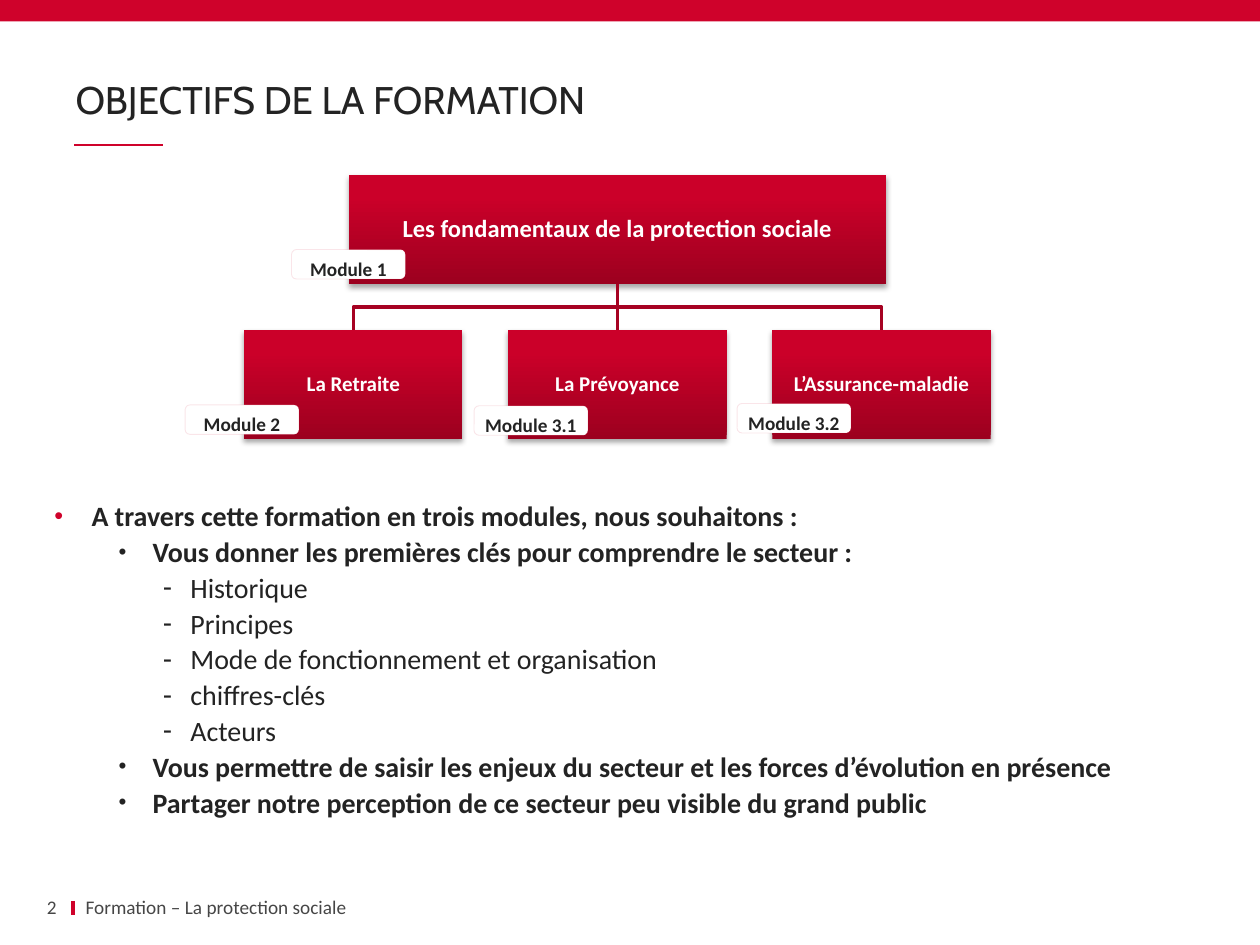
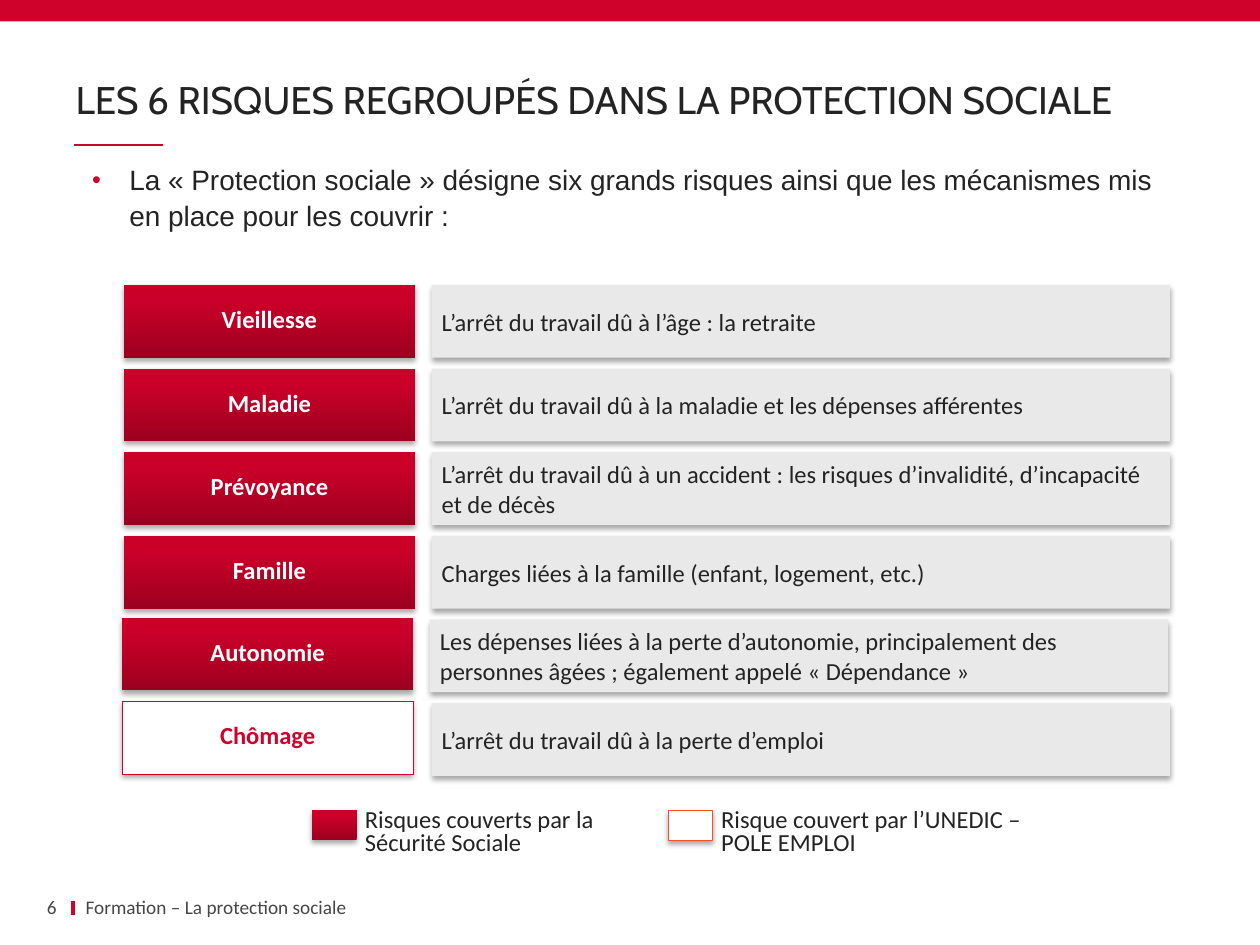
from lxml.etree import SubElement
from pptx import Presentation
from pptx.dml.color import RGBColor
from pptx.enum.shapes import MSO_CONNECTOR, MSO_SHAPE
from pptx.enum.text import MSO_ANCHOR, PP_ALIGN
from pptx.oxml.ns import qn
from pptx.util import Pt

RED = RGBColor(0xCF, 0x02, 0x2B)
BRIGHT_RED = RGBColor(0xCB, 0x00, 0x29)
DEEP_RED = RGBColor(0x9C, 0x00, 0x1F)
BRANCH_RED = RGBColor(0xA6, 0x02, 0x22)
ORANGE = RGBColor(0xF1, 0x54, 0x23)
INK = RGBColor(0x23, 0x23, 0x23)
FOOTER_GREY = RGBColor(0x46, 0x46, 0x46)
PALE_GREY = RGBColor(0xE9, 0xE9, 0xE9)
WHITE = RGBColor(0xFF, 0xFF, 0xFF)

TITLES = {
    "2": "OBJECTIFS DE LA FORMATION",
    "6": "LES 6 RISQUES REGROUPÉS DANS LA PROTECTION SOCIALE",
}


def write(shape, text, size=14, color=INK, font="Calibri", bold=False,
          align=PP_ALIGN.LEFT, anchor=MSO_ANCHOR.MIDDLE, insets=(7.2, 3.6, 7.2, 3.6),
          wrap=True, spacing=None, before=None, bullet=None):
    frame = shape.text_frame
    paragraph = frame.add_paragraph() if frame.text else frame.paragraphs[0]
    frame.word_wrap = wrap
    frame.vertical_anchor = anchor
    frame.margin_left, frame.margin_top, frame.margin_right, frame.margin_bottom = map(Pt, insets)
    if bullet:
        mark, left, hanging, scale, mark_color = bullet
        props = paragraph._p.get_or_add_pPr()
        props.set("marL", str(Pt(left)))
        props.set("indent", str(-Pt(hanging)))
        tint = SubElement(props, qn("a:buClr"))
        SubElement(tint, qn("a:srgbClr"), val=str(mark_color))
        SubElement(props, qn("a:buSzPct"), val=str(scale * 1000))
        SubElement(props, qn("a:buFont"), typeface="Arial")
        SubElement(props, qn("a:buChar"), char=mark)
    paragraph.alignment = align
    if spacing:
        paragraph.line_spacing = spacing
    if before:
        paragraph.space_before = Pt(before)
    run = paragraph.add_run()
    run.text = text
    run.font.name = font
    run.font.size = Pt(size)
    run.font.bold = bold
    run.font.color.rgb = color


def add_block(slide, box, fill=None, line=None, line_width=0.5, shadow=True,
              kind=MSO_SHAPE.RECTANGLE):
    block = slide.shapes.add_shape(kind, *map(Pt, box))
    if fill is None:
        block.fill.gradient()
        block.fill.gradient_angle = 90
        for stop, color, position in zip(block.fill.gradient_stops, (DEEP_RED, BRIGHT_RED), (0, 0.8)):
            stop.color.rgb = color
            stop.position = position
    else:
        block.fill.solid()
        block.fill.fore_color.rgb = fill
    if line is None:
        block.line.fill.background()
    else:
        block.line.color.rgb = line
        block.line.width = Pt(line_width)
    block.shadow.inherit = False
    if shadow:
        effects = block._element.spPr.find(qn("a:effectLst"))
        cast = SubElement(effects, qn("a:outerShdw"), blurRad=str(Pt(3.1)), dist=str(Pt(1.8)),
                          dir="5400000", rotWithShape="0")
        black = SubElement(cast, qn("a:srgbClr"), val="000000")
        SubElement(black, qn("a:alpha"), val="35000")
    return block


prs = Presentation()
prs.slide_width = Pt(720)
prs.slide_height = Pt(540)

slides = []
for number, title in TITLES.items():
    slide = prs.slides.add_slide(prs.slide_layouts[6])
    slides.append(slide)
    add_block(slide, (0, 0, 720, 12.3), fill=RED, shadow=False)
    for x1, y1, x2, y2, width in ((41.8, 514.8, 41.8, 522.7, 2.25), (42.5, 82.8, 92.9, 82.8, 1)):
        rule = slide.shapes.add_connector(MSO_CONNECTOR.STRAIGHT, *map(Pt, (x1, y1, x2, y2)))
        rule.line.color.rgb = RED
        rule.line.width = Pt(width)
        SubElement(rule._element.spPr, qn("a:effectLst"))
    heading = slide.shapes.add_textbox(Pt(43.2), Pt(45.4), Pt(633.6), Pt(25.9))
    write(heading, title, size=22, font="Cabin", spacing=0.9, insets=(0, 3.6, 0, 3.6))
    footer = slide.shapes.add_textbox(Pt(41.8), Pt(511.9), Pt(357.8), Pt(13))
    write(footer, "Formation – La protection sociale", size=11, color=FOOTER_GREY)
    page = slide.shapes.add_textbox(Pt(9.4), Pt(511.9), Pt(23), Pt(13))
    write(page, number, size=11, color=FOOTER_GREY, align=PP_ALIGN.RIGHT, insets=(0, 3.6, 0, 3.6))

goals, risks = slides

ROOT_TOP, BRANCH_TOP, BOX_HEIGHT = 100, 188.6, 62.4
BRANCH_LEFT, BRANCH_WIDTH, BRANCH_STEP = 139.5, 124.8, 150.9
ROOT_WIDTH = 306.8
root_center = BRANCH_LEFT + BRANCH_STEP + BRANCH_WIDTH / 2
box_text = dict(color=WHITE, bold=True, align=PP_ALIGN.CENTER, spacing=0.9, insets=(0.7,) * 4)

root = add_block(goals, (root_center - ROOT_WIDTH / 2, ROOT_TOP, ROOT_WIDTH, BOX_HEIGHT))
write(root, "Les fondamentaux de la protection sociale", **box_text)
branches = []
for column, topic in enumerate(("La Retraite", "La Prévoyance", "L’Assurance-maladie")):
    branch = add_block(goals, (BRANCH_LEFT + column * BRANCH_STEP, BRANCH_TOP, BRANCH_WIDTH, BOX_HEIGHT))
    write(branch, topic, size=12, **box_text)
    branches.append(branch)

trunk = goals.shapes.add_connector(MSO_CONNECTOR.STRAIGHT, 0, 0, 0, 0)
trunk.begin_connect(root, 2)
trunk.end_connect(branches[1], 0)
SubElement(trunk._element.spPr, qn("a:effectLst"))
links = [trunk]
root_bottom = ROOT_TOP + BOX_HEIGHT
fork = (root_bottom + BRANCH_TOP) / 2
for side in (-1, 1):
    branch_center = root_center + side * BRANCH_STEP
    outline = goals.shapes.build_freeform(Pt(root_center), Pt(root_bottom))
    outline.add_line_segments(
        [(Pt(x), Pt(y)) for x, y in ((root_center, fork), (branch_center, fork), (branch_center, BRANCH_TOP))],
        close=False)
    elbow = outline.convert_to_shape()
    elbow.fill.background()
    elbow.shadow.inherit = False
    links.append(elbow)
for link in links:
    link.line.color.rgb = BRANCH_RED
    link.line.width = Pt(2)

for module, left, top in (("Module 1", 166.6, 142.6), ("Module 2", 105.8, 231.4),
                          ("Module 3.1", 270.9, 231.9), ("Module 3.2", 421.2, 230.6)):
    badge = add_block(goals, (left, top, 65, 16.8), fill=WHITE, line=RED, shadow=False,
                      kind=MSO_SHAPE.ROUNDED_RECTANGLE)
    edge = badge._element.spPr.find(qn("a:ln")).find(".//" + qn("a:srgbClr"))
    SubElement(edge, qn("a:alpha"), val="10000")
    write(badge, module, size=11, bold=True, align=PP_ALIGN.CENTER, anchor=MSO_ANCHOR.TOP,
          insets=(1.4, 3.6, 1.4, 3.6), wrap=False)

BULLETS = (("•", 21.3, 21.3, 90, RED), ("•", 56.2, 19.4, 80, INK), ("‐", 77.8, 15.8, 100, INK))
AIMS = (
    (0, "A travers cette formation en trois modules, nous souhaitons :"),
    (1, "Vous donner les premières clés pour comprendre le secteur :"),
    (2, "Historique"),
    (2, "Principes"),
    (2, "Mode de fonctionnement et organisation"),
    (2, "chiffres-clés"),
    (2, "Acteurs"),
    (1, "Vous permettre de saisir les enjeux du secteur et les forces d’évolution en présence"),
    (1, "Partager notre perception de ce secteur peu visible du grand public"),
)
aims = goals.shapes.add_textbox(Pt(31), Pt(285.1), Pt(637.2), Pt(195.1))
for row, (level, aim) in enumerate(AIMS):
    write(aims, aim, size=16, bold=level < 2, anchor=MSO_ANCHOR.TOP, insets=(0,) * 4,
          before=1.25 if row else None, bullet=BULLETS[level])

intro = risks.shapes.add_textbox(Pt(52.6), Pt(92.2), Pt(627.8), Pt(45))
write(intro, "La «\u00a0Protection sociale\u00a0» désigne six grands risques ainsi que les mécanismes mis "
      "en place pour les couvrir :", size=16, font="Arial", anchor=MSO_ANCHOR.TOP,
      insets=(0,) * 4, spacing=1.05, bullet=BULLETS[0])

RISKS = (
    ("Vieillesse", "L’arrêt du travail dû à l’âge : la retraite", 0, 0),
    ("Maladie", "L’arrêt du travail dû à la maladie et les dépenses afférentes", 0, 0),
    ("Prévoyance", "L’arrêt du travail dû à un accident : les risques d’invalidité, d’incapacité et de décès", 0, 0),
    ("Famille", "Charges liées à la famille (enfant, logement, etc.)", 0, 0),
    ("Autonomie", "Les dépenses liées à la perte d’autonomie, principalement des personnes âgées ; "
     "également appelé «\u00a0Dépendance\u00a0»", 1, 1),
    ("Chômage", "L’arrêt du travail dû à la perte d’emploi", 1, 0),
)
ROW_TOP, ROW_STEP, ROW_HEIGHT = 162.8, 47.8, 41.6
for row, (risk, meaning, label_shift, meaning_shift) in enumerate(RISKS):
    top = ROW_TOP + row * ROW_STEP
    unemployment = risk == "Chômage"
    label = add_block(risks, (70.8 - label_shift, top - label_shift, 166.3, ROW_HEIGHT),
                      fill=WHITE if unemployment else None,
                      line=RED if unemployment else None, line_width=0.25)
    write(label, risk, color=RED if unemployment else WHITE, bold=True,
          align=PP_ALIGN.CENTER, spacing=0.8)
    definition = add_block(risks, (246.6 - meaning_shift, top, 421.9, ROW_HEIGHT), fill=PALE_GREY)
    write(definition, meaning, insets=(5.8, 2.9, 2.9, 2.9))

for left, fill, line, cover in (
    (178.4, None, None, "Risques couverts par la Sécurité Sociale"),
    (382, WHITE, ORANGE, "Risque couvert par l’UNEDIC – POLE EMPLOI"),
):
    add_block(risks, (left, 463, 25.4, 17.2), fill=fill, line=line, line_width=0.75)
    legend = risks.shapes.add_textbox(Pt(left + 23), Pt(458.6), Pt(187.9), Pt(34.6))
    write(legend, cover, spacing=0.8)

prs.save("out.pptx")
